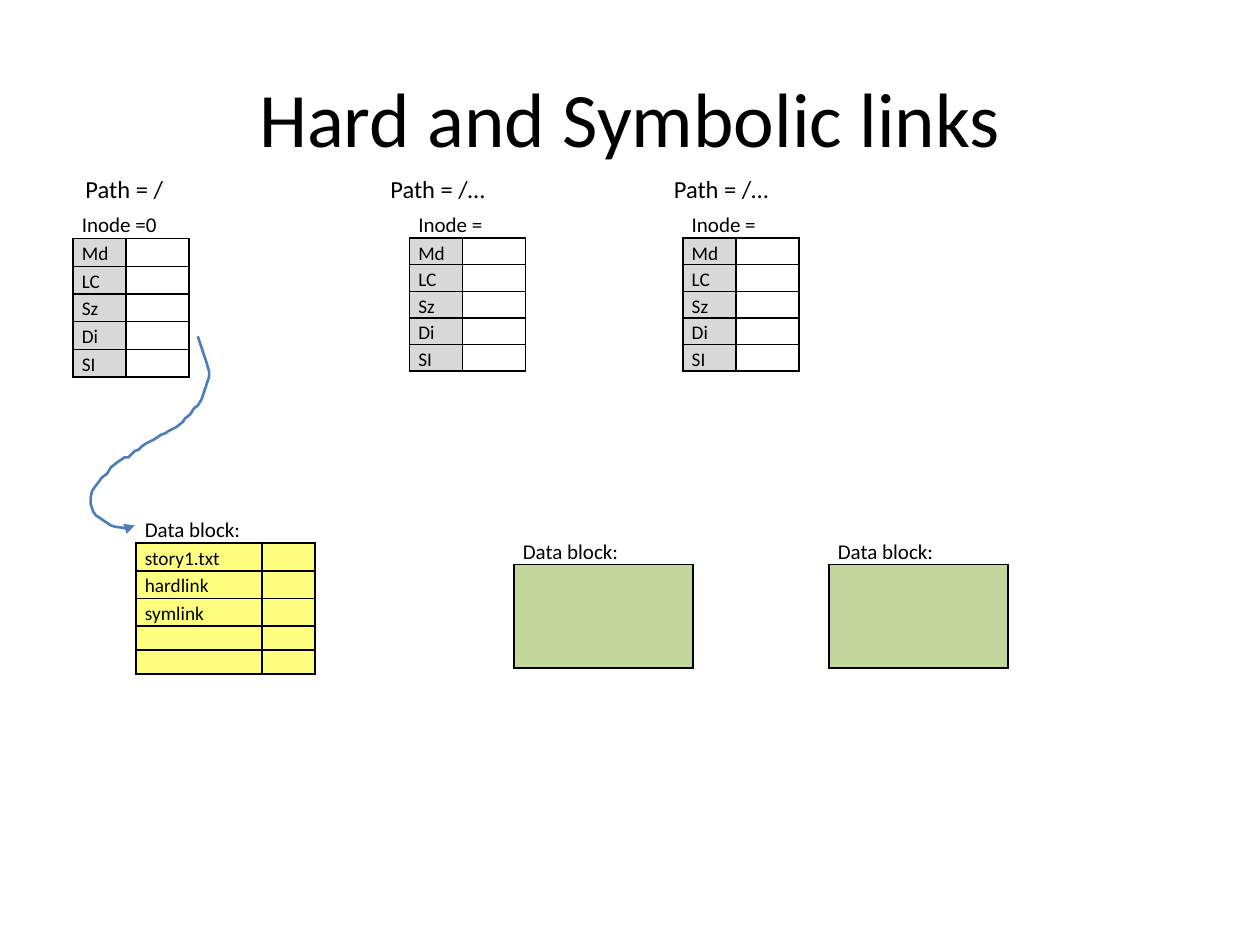
from lxml import etree
from pptx import Presentation
from pptx.dml.color import RGBColor
from pptx.enum import text
from pptx.oxml.ns import qn
from pptx.util import Inches, Pt

BLACK = RGBColor(0x00, 0x00, 0x00)
GREY = RGBColor(0xD9, 0xD9, 0xD9)
YELLOW = RGBColor(0xFF, 0xFF, 0x00)
GREEN = RGBColor(0xC3, 0xD6, 0x9B)
BLUE = RGBColor(0x4B, 0x7E, 0xBC)
NO_STYLE = "{2D5ABB26-0587-4C30-8999-92F81FD0307C}"


def write(p, s, size):
    r = p.add_run()
    r.text = s
    fmt = {"name": "Calibri", "size": Pt(size)}
    for name, value in fmt.items():
        setattr(r.font, name, value)
    r.font.color.rgb = BLACK


def add_block(x, y, caption, rows, widths, heights, fills, alpha=None):
    """Table with an open caption row above a bordered grid."""
    heights = [0.23] + heights
    rows = [[caption]] + rows
    tbl = s.shapes.add_table(len(rows), len(widths), Inches(x), Inches(y),
                             Inches(sum(widths)), Inches(sum(heights))).table
    tbl.first_row = tbl.horz_banding = False
    tbl._tbl.tblPr.find(qn("a:tableStyleId")).text = NO_STYLE
    for col, w in zip(tbl.columns, widths):
        col.width = Inches(w)
    for i, h in enumerate(heights):
        tbl.rows[i].height = Inches(h)
        for j in range(len(widths)):
            cell = tbl.cell(i, j)
            margins = {"margin_left": 0.07, "margin_right": 0.07,
                       "margin_top": 0, "margin_bottom": 0}
            for name, value in margins.items():
                setattr(cell, name, Inches(value))
            # Text, or a small end mark that keeps an empty row low
            p = cell.text_frame.paragraphs[0]
            if j < len(rows[i]) and rows[i][j]:
                p.line_spacing = 1.15
                write(p, rows[i][j], 11 if i else 12)
            else:
                etree.SubElement(p._p, qn("a:endParaRPr"), sz="1100")
            # Borders
            tcPr = cell._tc.get_or_add_tcPr()
            for side in ("L", "R", "T", "B") if i else ("B",):
                ln = etree.SubElement(tcPr, qn("a:ln" + side), w=str(Pt(1)))
                solid = etree.SubElement(ln, qn("a:solidFill"))
                etree.SubElement(solid, qn("a:srgbClr"), val=str(BLACK))
            # Fill
            if i and fills[j]:
                cell.fill.solid()
                cell.fill.fore_color.rgb = fills[j]
                if alpha:
                    clr = tcPr.find(qn("a:solidFill")).find(qn("a:srgbClr"))
                    etree.SubElement(clr, qn("a:alpha"), val=str(alpha * 1000))
            else:
                cell.fill.background()
    if len(widths) > 1:
        tbl.cell(0, 0).merge(tbl.cell(0, len(widths) - 1))


prs = Presentation()
prs.slide_width, prs.slide_height = Inches(10), Inches(7.5)
s = prs.slides.add_slide(prs.slide_layouts[5])

# Title
title = s.shapes.title
box = {"left": 0.5, "top": 0.3, "width": 9, "height": 1.25}
for name, value in box.items():
    setattr(title, name, Inches(value))
write(title.text_frame.paragraphs[0], "Hard and Symbolic links", 44)

# Inodes with their paths
fields = [["Md"], ["LC"], ["Sz"], ["Di"], ["SI"]]
inodes = [
    (0.58, "Inode =0", 0.22, 0.58, "Path = /", 0.82),
    (3.25, "Inode =", 0.21, 3, "Path = /…", 0.97),
    (5.42, "Inode =", 0.21, 5.25, "Path = /…", 0.97),
]
for x, caption, row_h, label_x, label, label_w in inodes:
    add_block(x, 1.66, caption, fields, [0.42, 0.5], [row_h] * 5, [GREY, None])
    sp = s.shapes.add_textbox(Inches(label_x), Inches(1.33),
                              Inches(label_w), Inches(0.34))
    tf = sp.text_frame
    tf.word_wrap = False
    tf.auto_size = text.MSO_AUTO_SIZE.SHAPE_TO_FIT_TEXT
    write(tf.paragraphs[0], label, 14)

# Directory data block
add_block(1.08, 4.08, "Data block:",
          [["story1.txt"], ["hardlink"], ["symlink"], [], []],
          [1, 0.42], [0.22] * 3 + [0.19] * 2, [YELLOW, YELLOW], alpha=50)

# File data blocks
for x in (4.08, 6.58):
    add_block(x, 4.25, "Data block:", [[]], [1.42], [0.82], [GREEN])

# Hand-drawn arrow from the root inode to its data block
points = [
    (1.57, 2.67), (1.6, 2.76), (1.64, 2.88), (1.66, 2.95), (1.66, 2.99),
    (1.65, 3.02), (1.62, 3.11), (1.61, 3.14), (1.6, 3.17), (1.57, 3.22),
    (1.54, 3.24), (1.51, 3.29), (1.47, 3.32), (1.45, 3.35), (1.4, 3.39),
    (1.34, 3.42), (1.31, 3.44), (1.28, 3.45), (1.25, 3.47), (1.22, 3.49),
    (1.16, 3.52), (1.13, 3.54), (1.1, 3.57), (1.07, 3.58), (1.02, 3.63),
    (0.99, 3.63), (0.93, 3.67), (0.88, 3.71), (0.85, 3.76), (0.81, 3.79),
    (0.75, 3.87), (0.73, 3.9), (0.72, 3.95), (0.72, 4), (0.74, 4.06),
    (0.76, 4.09), (0.79, 4.11), (0.85, 4.15), (0.88, 4.17), (0.91, 4.18),
    (0.98, 4.19), (1.03, 4.2), (1.06, 4.19), (1.07, 4.17),
]
path_pts = [(Inches(x), Inches(y)) for x, y in points]
fb = s.shapes.build_freeform(*path_pts[0])
fb.add_line_segments(path_pts[1:], close=False)
sp = fb.convert_to_shape()
sp.shadow.inherit = False
sp.fill.background()
sp.line.color.rgb = BLUE
sp.line.width = Pt(1.5)
etree.SubElement(sp.line._get_or_add_ln(), qn("a:tailEnd"), type="triangle")

prs.save("out.pptx")
